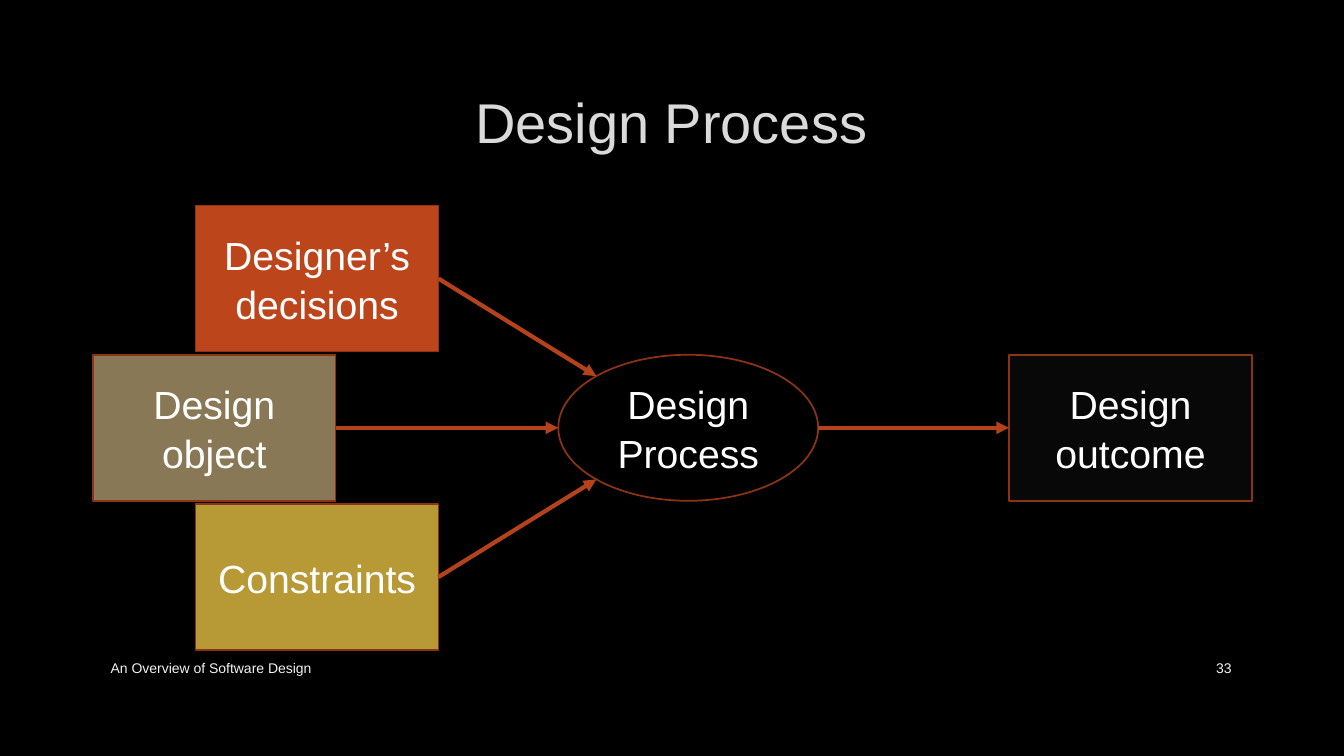
from math import sqrt

from lxml import etree
from pptx import Presentation
from pptx.dml.color import RGBColor
from pptx.enum import shapes, text
from pptx.oxml import ns
from pptx.util import Cm, Pt

EDGE, ARROW, WHITE, PALE = "8B3314", "B4421A", "FFFFFF", "F2F2F2"
BOX_W, BOX_H = 6.12, 3.68
TOP, PITCH = 5.18, 3.76
ROWS = [TOP + PITCH * i for i in range(3)]
OVAL_X, OVAL_W = 14.07, 6.55
MID_X, MID_Y = OVAL_X + OVAL_W / 2, ROWS[1] + BOX_H / 2


def paint(fmt, hue):
    """Give a fill, or a font's colour, a solid hex colour."""
    if hasattr(fmt, "solid"):
        fmt.solid()
        fmt = fmt.fore_color
    else:
        fmt = fmt.color
    fmt.rgb = RGBColor.from_string(hue)


def write(frame, words, size=28, hue=WHITE, align="CENTER", lead=None):
    frame.word_wrap = True
    frame.auto_size = text.MSO_AUTO_SIZE.NONE
    frame.vertical_anchor = text.MSO_ANCHOR.MIDDLE
    frame.text = words
    para = frame.paragraphs[0]
    para.alignment = getattr(text.PP_ALIGN, align)
    if lead:
        para.line_spacing = lead
    font = para.runs[0].font
    font.name, font.size = "Arial", Pt(size)
    paint(font, hue)


def node(slide, words, left, top, fill=None, width=BOX_W, kind="RECTANGLE"):
    """Add one labelled step of the process."""
    shape = slide.shapes.add_shape(
        getattr(shapes.MSO_SHAPE, kind), Cm(left), Cm(top), Cm(width), Cm(BOX_H))
    shape.shadow.inherit = False
    if fill:
        paint(shape.fill, fill)
    else:
        shape.fill.background()
    paint(shape.line.fill, EDGE)
    shape.line.width = Pt(1.25)
    write(shape.text_frame, words, lead=1.04)
    return shape


def arrow(slide, start, end):
    line = slide.shapes.add_connector(
        shapes.MSO_CONNECTOR.STRAIGHT, *map(Cm, start + end))
    paint(line.line.fill, ARROW)
    line.line.width = Pt(3)
    etree.SubElement(line.line._get_or_add_ln(), ns.qn("a:tailEnd"), type="triangle")
    etree.SubElement(line._element.spPr, ns.qn("a:effectLst"))
    return line


def note(slide, words, left, width, align):
    box = slide.shapes.add_textbox(Cm(left), Cm(16.33), Cm(width), Cm(1.02))
    write(box.text_frame, words, size=10, hue=PALE, align=align)


def main():
    deck = Presentation()
    deck.slide_width, deck.slide_height = Cm(33.87), Cm(19.05)
    slide = deck.slides.add_slide(deck.slide_layouts[5])
    paint(slide.background.fill, "000000")

    title = slide.shapes.title
    title.left, title.top, title.width, title.height = map(Cm, (2.54, 1.7, 28.75, 2.7))
    write(title.text_frame, "Design Process", size=40, hue="DADADA")
    note(slide, "An Overview of Software Design", 2.54, 18.54, "LEFT")
    note(slide, "33", 29.21, 2.08, "RIGHT")

    node(slide, "Design Process", OVAL_X, ROWS[1], width=OVAL_W, kind="OVAL")
    goal = node(slide, "Design outcome", 25.43, ROWS[1], "080809")

    inputs = [("Designer’s decisions", 4.93, "BC451B"),
              ("Design object", 2.34, "897855"),
              ("Constraints", 4.93, "B79935")]
    diag = sqrt(0.5)
    ends = [(MID_X - diag * OVAL_W / 2, MID_Y - diag * BOX_H / 2),
            (OVAL_X, MID_Y),
            (MID_X - diag * OVAL_W / 2, MID_Y + diag * BOX_H / 2)]
    for (words, left, fill), top, end in zip(inputs, ROWS, ends):
        box = node(slide, words, left, top, fill)
        line = arrow(slide, (left + BOX_W, top + BOX_H / 2), end)
        line.begin_connect(box, 3)
    out = arrow(slide, (OVAL_X + OVAL_W, MID_Y), (25.43, MID_Y))
    out.end_connect(goal, 1)

    deck.save("out.pptx")


if __name__ == "__main__":
    main()
